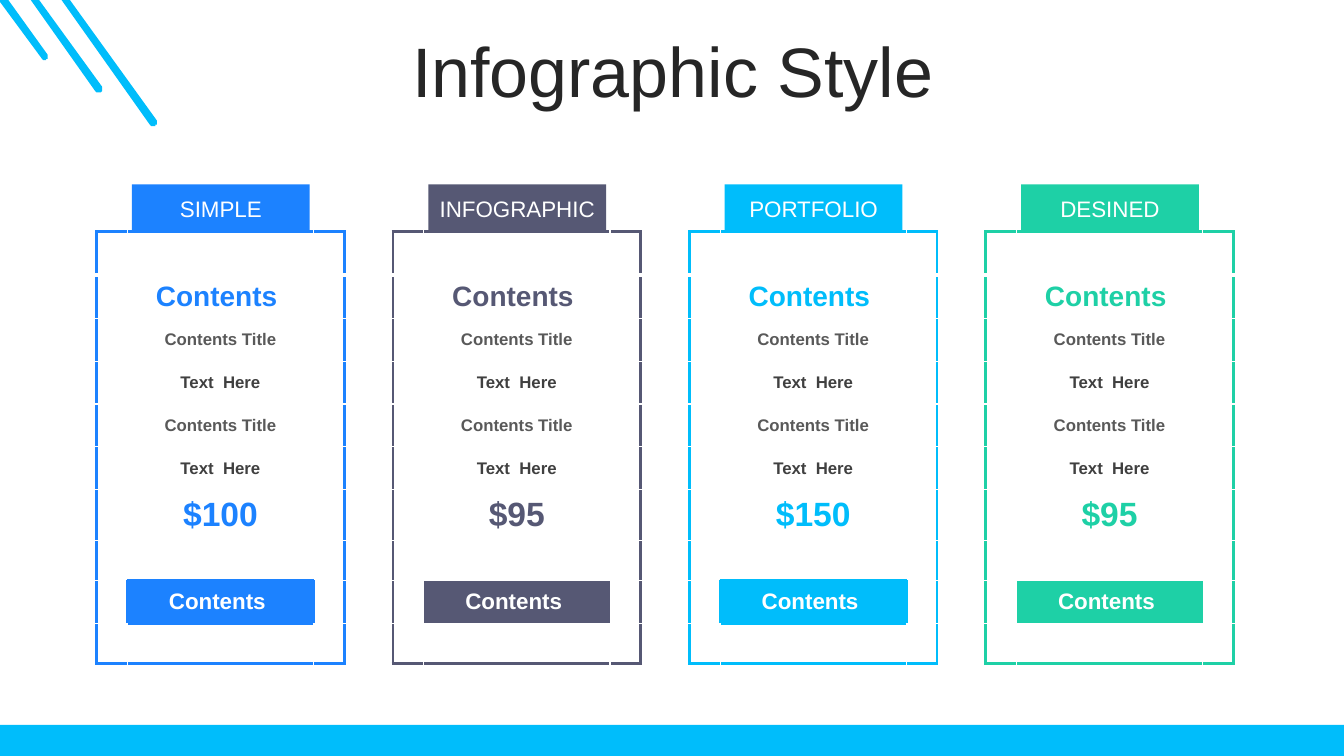
import math

import lxml.etree
import pptx
import pptx.dml.color
import pptx.enum.shapes
import pptx.enum.text
import pptx.oxml.ns
import pptx.util

Pt = pptx.util.Pt
WHITE, SKY = "FFFFFF", "00BDFB"
SIDES = {"L": (0, -1), "R": (0, 1), "T": (-1, 0), "B": (1, 0)}
BUTTON = (8, 1)
COLUMN_WIDTHS = [22, 133, 22]
ROW_HEIGHTS = [30.6] * 6 + [36.2, 28.8, 30.6, 28.8]
CARD_PITCH = 211.7
CARDS = [
    ("SIMPLE", "$100", "1C82FF", True),
    ("INFOGRAPHIC", "$95", "565874", False),
    ("PORTFOLIO", "$150", SKY, True),
    ("DESINED", "$95", "1ED0A6", False),
]
STRIPES = [(2.5, 31.7, 40.3), (24.8, 70.6, 63.7), (47.2, 109.4, 87.5)]


def color(value):
    return pptx.dml.color.RGBColor.from_string(value)


def border_style(row, column, side, accent, boxed):
    down, across = SIDES[side]
    neighbour = (row + down, column + across)
    if neighbour[0] not in range(len(ROW_HEIGHTS)) or neighbour[1] not in range(len(COLUMN_WIDTHS)):
        return accent, 2.25
    if BUTTON in ((row, column), neighbour):
        return (accent, 2.25) if boxed else (None, 0)
    return WHITE, 3 if (row, side) == (0, "B") else 1


class Painter:
    font = "Arial"

    def __init__(self, page):
        self.page = page

    def label(self, frame, text, size, ink, bold=False, spacing=None):
        para = frame.paragraphs[0]
        para.text = text
        para.alignment = pptx.enum.text.PP_ALIGN.CENTER
        if spacing:
            para.line_spacing = spacing
        para.font.name = self.font
        para.font.size = Pt(size)
        para.font.bold = bold
        para.font.color.rgb = color(ink)

    def paint(self, shape, fill):
        shape.shadow.inherit = False
        shape.fill.solid()
        shape.fill.fore_color.rgb = color(fill)
        shape.line.fill.background()
        return shape

    def rectangle(self, left, top, width, height, fill):
        kind = pptx.enum.shapes.MSO_SHAPE.RECTANGLE
        box = self.page.shapes.add_shape(kind, Pt(left), Pt(top), Pt(width), Pt(height))
        return self.paint(box, fill)

    def tab(self, left, text, fill):
        box = self.rectangle(left, 131.8, 127, 33.8, fill)
        frame = box.text_frame
        frame.word_wrap = True
        frame.vertical_anchor = pptx.enum.text.MSO_ANCHOR.MIDDLE
        frame.margin_top = Pt(7.2)
        self.label(frame, text, 16, WHITE, spacing=0.9)

    def title(self, text):
        box = self.page.shapes.add_textbox(Pt(25), Pt(26.6), Pt(911.5), Pt(57))
        frame = box.text_frame
        frame.word_wrap = True
        frame.vertical_anchor = pptx.enum.text.MSO_ANCHOR.MIDDLE
        self.label(frame, text, 50, "262626", spacing=0.8)

    def stripes(self, radius=2.65, angle=54.6):
        builder = None
        half_width = radius / math.sin(math.radians(angle))
        for start, tip_x, tip_y in STRIPES:
            cap = []
            for turn in range(90, -91, -15):
                direction = math.radians(angle + turn)
                cap.append((tip_x + radius * math.cos(direction), tip_y + radius * math.sin(direction)))
            if builder is None:
                builder = self.page.shapes.build_freeform(start + half_width, 0, scale=Pt(1))
            else:
                builder.move_to(start + half_width, 0)
            builder.add_line_segments([(start - half_width, 0)] + cap, close=True)
        self.paint(builder.convert_to_shape(), SKY)

    def border(self, cell, side, ink, width):
        properties = cell._tc.get_or_add_tcPr()
        qn = pptx.oxml.ns.qn
        line = lxml.etree.SubElement(properties, qn(f"a:ln{side}"), w=str(int(Pt(width))))
        if ink is None:
            lxml.etree.SubElement(line, qn("a:noFill"))
        else:
            fill = lxml.etree.SubElement(line, qn("a:solidFill"))
            lxml.etree.SubElement(fill, qn("a:srgbClr"), val=ink)

    def card(self, left, price, accent, boxed):
        texts = {
            1: ("Contents ", 20, accent),
            2: ("Contents Title", 12, "595959"),
            3: ("Text  Here", 12, "404040"),
            4: ("Contents Title", 12, "595959"),
            5: ("Text  Here", 12, "404040"),
            6: (price, 24, accent),
            8: ("Contents ", 16, WHITE),
        }
        table = self.page.shapes.add_table(
            len(ROW_HEIGHTS), len(COLUMN_WIDTHS), Pt(left), Pt(165.6),
            Pt(sum(COLUMN_WIDTHS)), Pt(sum(ROW_HEIGHTS)),
        ).table
        table.first_row = False
        table.horz_banding = False
        for column, width in enumerate(COLUMN_WIDTHS):
            table.columns[column].width = Pt(width)
        for row, height in enumerate(ROW_HEIGHTS):
            table.rows[row].height = Pt(height)
            for column in range(len(COLUMN_WIDTHS)):
                cell = table.cell(row, column)
                for side in SIDES:
                    self.border(cell, side, *border_style(row, column, side, accent, boxed))
                cell.fill.solid()
                cell.fill.fore_color.rgb = color(accent if (row, column) == BUTTON else WHITE)
                cell.vertical_anchor = pptx.enum.text.MSO_ANCHOR.MIDDLE
                if column == 1 and row in texts:
                    self.label(cell.text_frame, *texts[row], bold=True)
                else:
                    cell.text_frame.paragraphs[0].font.size = Pt(12)


def main():
    deck = pptx.Presentation()
    deck.slide_width, deck.slide_height = Pt(960), Pt(540)
    painter = Painter(deck.slides.add_slide(deck.slide_layouts[6]))
    painter.rectangle(0, 517.8, 960, 22.2, SKY)
    painter.stripes()
    painter.title("Infographic Style")
    for index, (name, price, accent, boxed) in enumerate(CARDS):
        painter.card(69 + index * CARD_PITCH, price, accent, boxed)
        painter.tab(94.3 + index * CARD_PITCH, name, accent)
    deck.save("out.pptx")


if __name__ == "__main__":
    main()
